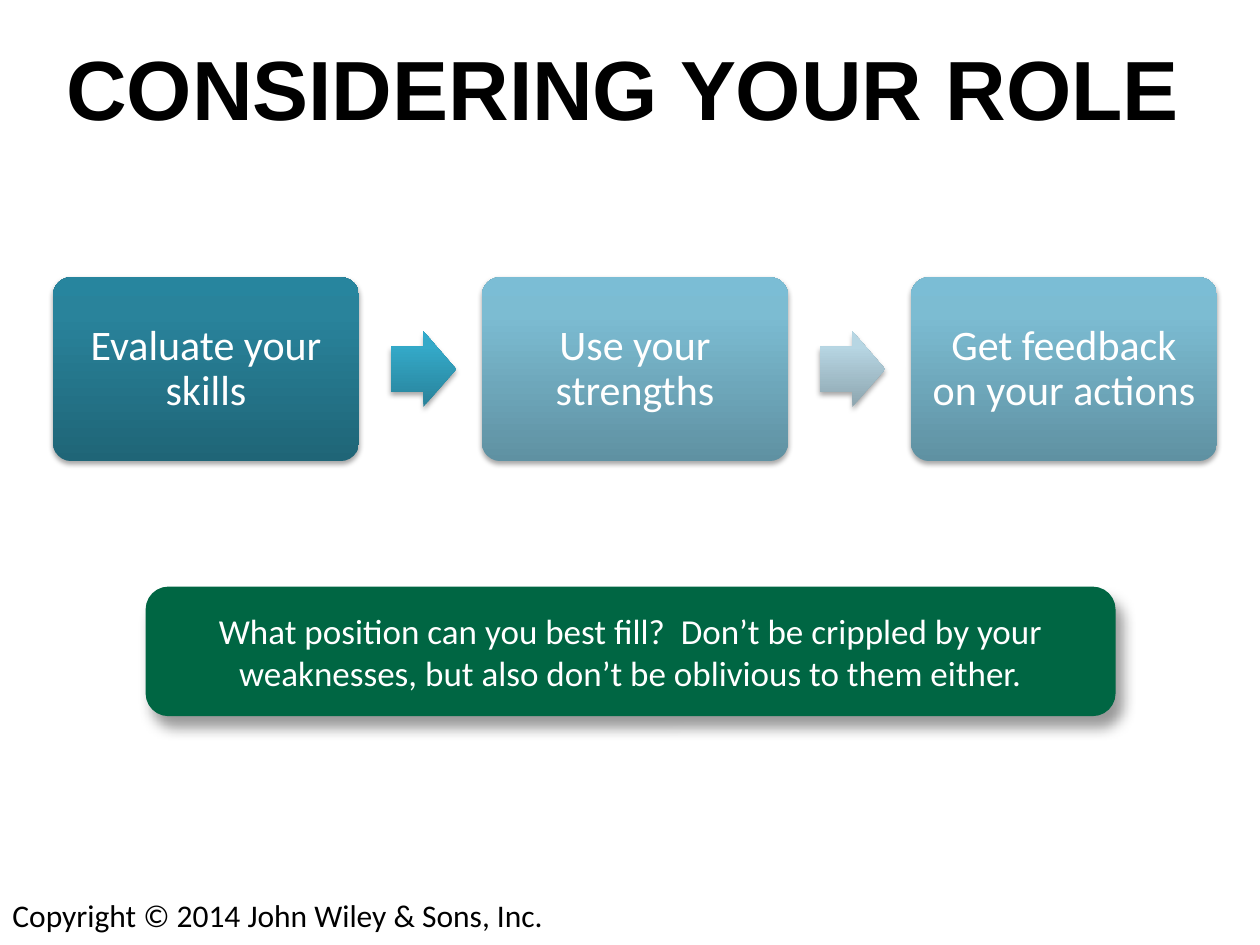
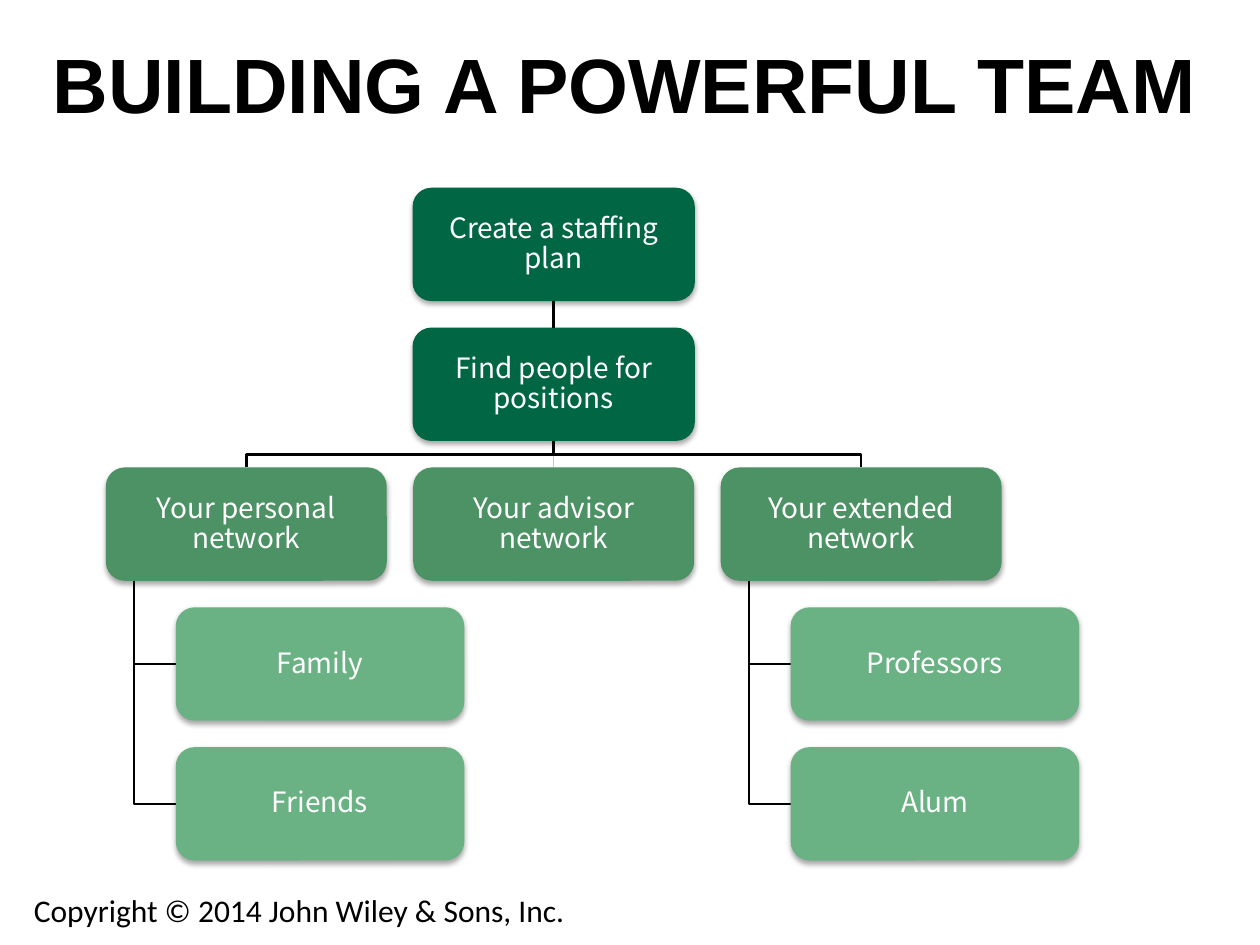
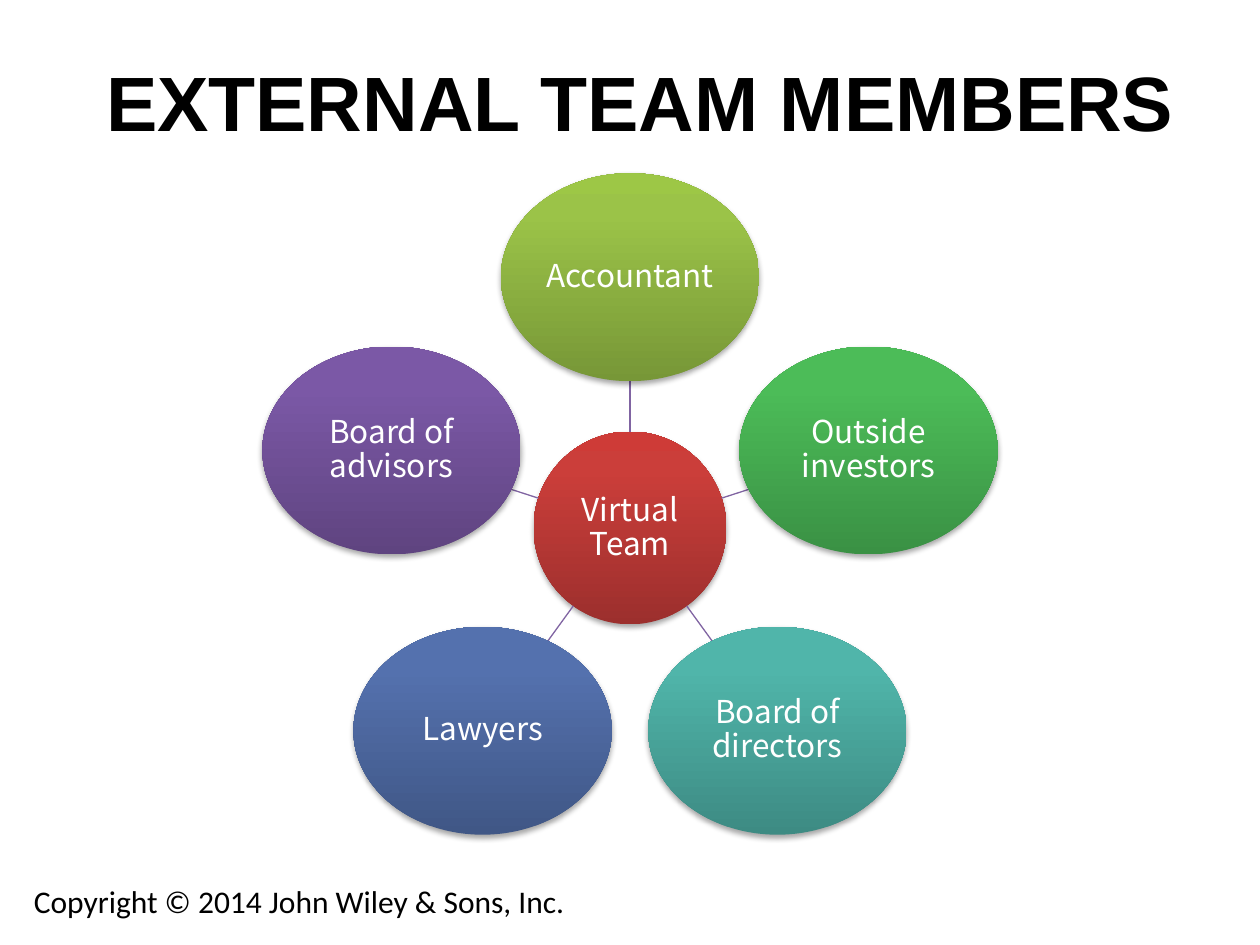
from copy import deepcopy
from math import cos, hypot, radians, sin
from typing import NamedTuple

from lxml.etree import SubElement
from pptx import Presentation
from pptx.dml.color import RGBColor
from pptx.enum.shapes import MSO_CONNECTOR as Link, MSO_SHAPE as Preset
from pptx.enum.text import MSO_ANCHOR as Anchor, MSO_AUTO_SIZE as AutoSize, PP_ALIGN as Align
from pptx.oxml.ns import qn
from pptx.util import Inches, Pt

BLACK = RGBColor(0x00, 0x00, 0x00)
WHITE = RGBColor(0xFF, 0xFF, 0xFF)
DARK_GREEN = RGBColor(0x00, 0x66, 0x43)
MID_GREEN = RGBColor(0x4C, 0x92, 0x65)
LIGHT_GREEN = RGBColor(0x6A, 0xB2, 0x84)
PALE_GREEN = RGBColor(0xC0, 0xD2, 0xA4)
SPOKE_PURPLE = RGBColor(0x80, 0x64, 0xA2)


def shades(*codes):
    return tuple(RGBColor.from_string(code) for code in codes)


# Gradients run from the bottom edge to the top edge.
GRADIENT_STOPS = (0, 0.8, 1)
DEEP_TEAL = shades("1F6577", "29839B", "27859E")
BRIGHT_TEAL = shades("28829A", "34A9C8", "32ABCC")
SKY = shades("5F91A2", "7CBCD2", "7BBDD5")
PALE_SKY = shades("8DA5AF", "B7D6E3", "B7D8E5")
RED = shades("9C2F2D", "CB3E3A", "CE3B37")
LIME = shades("779737", "9BC348", "9DC746")
GREEN = shades("3A9144", "4CBC58", "4ABF57")
AQUA = shades("3D8B83", "50B5AA", "4EB8AC")
BLUE = shades("405786", "5471AE", "5271B0")
PURPLE = shades("5F4480", "7B58A6", "7C57A8")

TITLE_FONT = {"name": "Arial", "bold": True}
FOOTER_FONT = {"name": "Calibri", "size": Pt(18)}
STEP_FONT = {"name": "Calibri", "size": Pt(24)}
ADVICE_FONT = {"name": "Calibri", "size": Pt(20)}
CHART_FONT = {"name": "Noto Sans CJK SC", "size": Pt(16)}
RING_FONT = {"name": "Noto Sans CJK SC", "size": Pt(18)}

# Opacity in percent, then blur and distance in points, and direction in degrees.
SOFT_SHADOW = (35, 3.1, 1.8, 90)
DEEP_SHADOW = (40, 8, 7, 60)
FOOTER_TEXT = "Copyright © 2014 John Wiley & Sons, Inc."


class Box(NamedTuple):
    left: float
    top: float
    width: float
    height: float

    def lengths(self):
        return [Inches(value) for value in self]


def write_text(shape, text, font, color, align=Align.CENTER, anchor=Anchor.MIDDLE,
               inset=None, spacing=None):
    frame = shape.text_frame
    frame.word_wrap = True
    frame.vertical_anchor = anchor
    if inset is not None:
        for side in ("left", "top", "right", "bottom"):
            setattr(frame, f"margin_{side}", Inches(inset))
    para = frame.paragraphs[0]
    para.alignment = align
    para.line_spacing = spacing
    span = para.add_run()
    span.text = text
    for key, value in font.items():
        setattr(span.font, key, value)
    span.font.color.rgb = color
    return frame


def paint(shape, fill):
    """Fill with one colour, or with a gradient when given a tuple."""
    if not isinstance(fill, tuple) or isinstance(fill, RGBColor):
        shape.fill.solid()
        shape.fill.fore_color.rgb = fill
        return
    shape.fill.gradient()
    shape.fill.gradient_angle = 90
    stop_list = shape._element.spPr.find(qn("a:gradFill")).find(qn("a:gsLst"))
    stop_list.append(deepcopy(stop_list[-1]))
    for stop, position, color in zip(shape.fill.gradient_stops, GRADIENT_STOPS, fill):
        stop.position = position
        stop.color.rgb = color


def cast_shadow(shape, opacity, blur, distance, direction):
    shape.shadow.inherit = False
    effects = shape._element.spPr.find(qn("a:effectLst"))
    outer = SubElement(effects, qn("a:outerShdw"), blurRad=str(Pt(blur)), dist=str(Pt(distance)),
                       dir=str(direction * 60000), algn="ctr", rotWithShape="0")
    color = SubElement(outer, qn("a:srgbClr"), val=str(BLACK))
    SubElement(color, qn("a:alpha"), val=str(opacity * 1000))


def add_block(page, preset, box, fill, shadow=SOFT_SHADOW, corner=None):
    shape = page.shapes.add_shape(preset, *box.lengths())
    if corner is not None:
        shape.adjustments[0] = corner
    paint(shape, fill)
    shape.line.fill.background()
    cast_shadow(shape, *shadow)
    return shape


def style_line(shape, color, width):
    shape.line.color.rgb = color
    shape.line.width = Pt(width)


def add_straight(page, start, end, color, width):
    points = [Inches(value) for value in (*start, *end)]
    line = page.shapes.add_connector(Link.STRAIGHT, *points)
    style_line(line, color, width)
    SubElement(line._element.spPr, qn("a:effectLst"))
    return line


def join_down(page, upper, lower, color=BLACK, width=1.5):
    line = add_straight(page, (0, 0), (0, 0), color, width)
    line.begin_connect(upper, 2)
    line.end_connect(lower, 0)


def add_bent_line(page, *points):
    start, *rest = [(Inches(x), Inches(y)) for x, y in points]
    builder = page.shapes.build_freeform(*start)
    builder.add_line_segments(rest, close=False)
    line = builder.convert_to_shape()
    line.fill.background()
    style_line(line, BLACK, 1.5)
    line.shadow.inherit = False


def add_title(page, box, text, size, anchor=Anchor.TOP):
    shape = page.shapes.add_textbox(*box.lengths())
    frame = write_text(shape, text, {**TITLE_FONT, "size": Pt(size)}, BLACK, anchor=anchor)
    if anchor == Anchor.TOP:
        frame.auto_size = AutoSize.SHAPE_TO_FIT_TEXT


def add_footer(page, box):
    shape = page.shapes.add_textbox(*box.lengths())
    write_text(shape, FOOTER_TEXT, FOOTER_FONT, BLACK, Align.LEFT, Anchor.TOP)


def add_process(page, box, steps, arrow_fills):
    """Spread the steps over the box, with an arrow in each gap."""
    step_width, arrow_width, arrow_height, arrow_gap = 2.43, 0.52, 0.6, 0.25
    pitch = (box.width - step_width) / (len(steps) - 1)
    for index, (text, fill) in enumerate(steps):
        left = box.left + index * pitch
        step = add_block(page, Preset.ROUNDED_RECTANGLE,
                         Box(left, box.top, step_width, box.height), fill, corner=0.1)
        write_text(step, text, STEP_FONT, WHITE, inset=0.1, spacing=0.9)
        if index < len(arrow_fills):
            arrow_box = Box(left + step_width + arrow_gap,
                            box.top + (box.height - arrow_height) / 2, arrow_width, arrow_height)
            arrow = add_block(page, Preset.RIGHT_ARROW, arrow_box, arrow_fills[index], corner=0.6)
            arrow.adjustments[1] = 0.5


def add_advice(page, box, text):
    banner = add_block(page, Preset.ROUNDED_RECTANGLE, box, DARK_GREEN, DEEP_SHADOW)
    style_line(banner, DARK_GREEN, 2)
    write_text(banner, text, ADVICE_FONT, WHITE)


def add_staffing_chart(page, box, stages, networks):
    """Stack the stages, then place each network in a column above its members."""
    row_pitch, row_height = 1.11, 0.9
    column_pitch, member_indent, trunk_indent = 2.44, 0.56, 0.89
    network_width = 2.23
    middle = box.left + network_width / 2 + column_pitch * (len(networks) // 2)

    def row_top(row):
        return box.top + row * row_pitch

    def add_node(text, left, row, width, fill):
        node = add_block(page, Preset.ROUNDED_RECTANGLE,
                         Box(left, row_top(row), width, row_height), fill)
        write_text(node, text, CHART_FONT, WHITE, inset=0.01, spacing=0.9)
        return node

    stage_width = 2.24
    stage_nodes = [add_node(text, middle - stage_width / 2, row, stage_width, DARK_GREEN)
                   for row, text in enumerate(stages)]
    for upper, lower in zip(stage_nodes, stage_nodes[1:]):
        join_down(page, upper, lower)

    network_row = len(stages)
    stage_bottom = row_top(network_row - 1) + row_height
    branch_y = (stage_bottom + row_top(network_row)) / 2
    for column, (name, members) in enumerate(networks):
        center = middle + (column - len(networks) // 2) * column_pitch
        network = add_node(name, center - network_width / 2, network_row, network_width, MID_GREEN)
        if column == len(networks) // 2:
            join_down(page, stage_nodes[-1], network, PALE_GREEN, 0.75)
        else:
            add_bent_line(page, (middle, stage_bottom), (middle, branch_y),
                          (center, branch_y), (center, row_top(network_row)))
        trunk_x, member_left = center - trunk_indent, center - member_indent
        for row, member in enumerate(members, network_row + 1):
            member_y = row_top(row) + row_height / 2
            add_bent_line(page, (trunk_x, row_top(network_row) + row_height),
                          (trunk_x, member_y), (member_left, member_y))
            add_node(member, member_left, row, 2.29, LIGHT_GREEN)


def add_hub_and_ring(page, center, hub, members):
    """Place the members clockwise from the top around the hub."""
    hub_size, ring_radius = 1.53, 1.99
    member_width, member_height = 2.05, 1.65
    center_x, center_y = center

    def add_oval(x, y, width, height, text, fill):
        oval = add_block(page, Preset.OVAL,
                         Box(x - width / 2, y - height / 2, width, height), fill)
        write_text(oval, text, RING_FONT, WHITE, inset=0.01, spacing=0.9)

    add_oval(center_x, center_y, hub_size, hub_size, *hub)
    for index, (text, fill) in enumerate(members):
        angle = radians(index * 360 / len(members))
        across, down = sin(angle), -cos(angle)

        def point(distance):
            return center_x + distance * across, center_y + distance * down

        rim = 1 / hypot(across / (member_width / 2), down / (member_height / 2))
        add_straight(page, point(hub_size / 2), point(ring_radius - rim), SPOKE_PURPLE, 0.75)
        add_oval(*point(ring_radius), member_width, member_height, text, fill)


def build_role_slide(page):
    add_title(page, Box(0.22, 0.24, 9.45, 0.91), "CONSIDERING YOUR ROLE", 48)
    steps = [("Evaluate your skills", DEEP_TEAL), ("Use your strengths", SKY),
             ("Get feedback on your actions", SKY)]
    add_process(page, Box(0.42, 2.2, 9.24, 1.46), steps, [BRIGHT_TEAL, PALE_SKY])
    add_advice(page, Box(1.17, 4.67, 7.67, 1),
               "What position can you best fill?  Don’t be crippled by your weaknesses, "
               "but also don’t be oblivious to them either.")
    add_footer(page, Box(0, 7.06, 4.75, 0.4))


def build_team_slide(page):
    add_title(page, Box(-0.08, 0.24, 10.08, 0.84), "BUILDING A POWERFUL TEAM", 44)
    networks = [("Your personal network", ["Family", "Friends"]),
                ("Your advisor network", []),
                ("Your extended network", ["Professors", "Alum"])]
    add_staffing_chart(page, Box(0.84, 1.49, 7.73, 5.34),
                       ["Create a staffing plan", "Find people for positions"], networks)
    add_footer(page, Box(0.17, 7.02, 6.42, 0.4))


def build_external_slide(page):
    add_title(page, Box(0.17, 0.17, 9.83, 1.25), "EXTERNAL TEAM MEMBERS", 44, Anchor.MIDDLE)
    members = [("Accountant", LIME), ("Outside investors", GREEN), ("Board of directors", AQUA),
               ("Lawyers", BLUE), ("Board of advisors", PURPLE)]
    add_hub_and_ring(page, (5, 4.19), ("Virtual Team", RED), members)
    add_footer(page, Box(0.17, 6.95, 6.42, 0.4))


def main():
    deck = Presentation()
    deck.slide_width, deck.slide_height = Inches(10), Inches(7.5)
    for build in (build_role_slide, build_team_slide, build_external_slide):
        build(deck.slides.add_slide(deck.slide_layouts[6]))
    deck.save("out.pptx")


if __name__ == "__main__":
    main()
